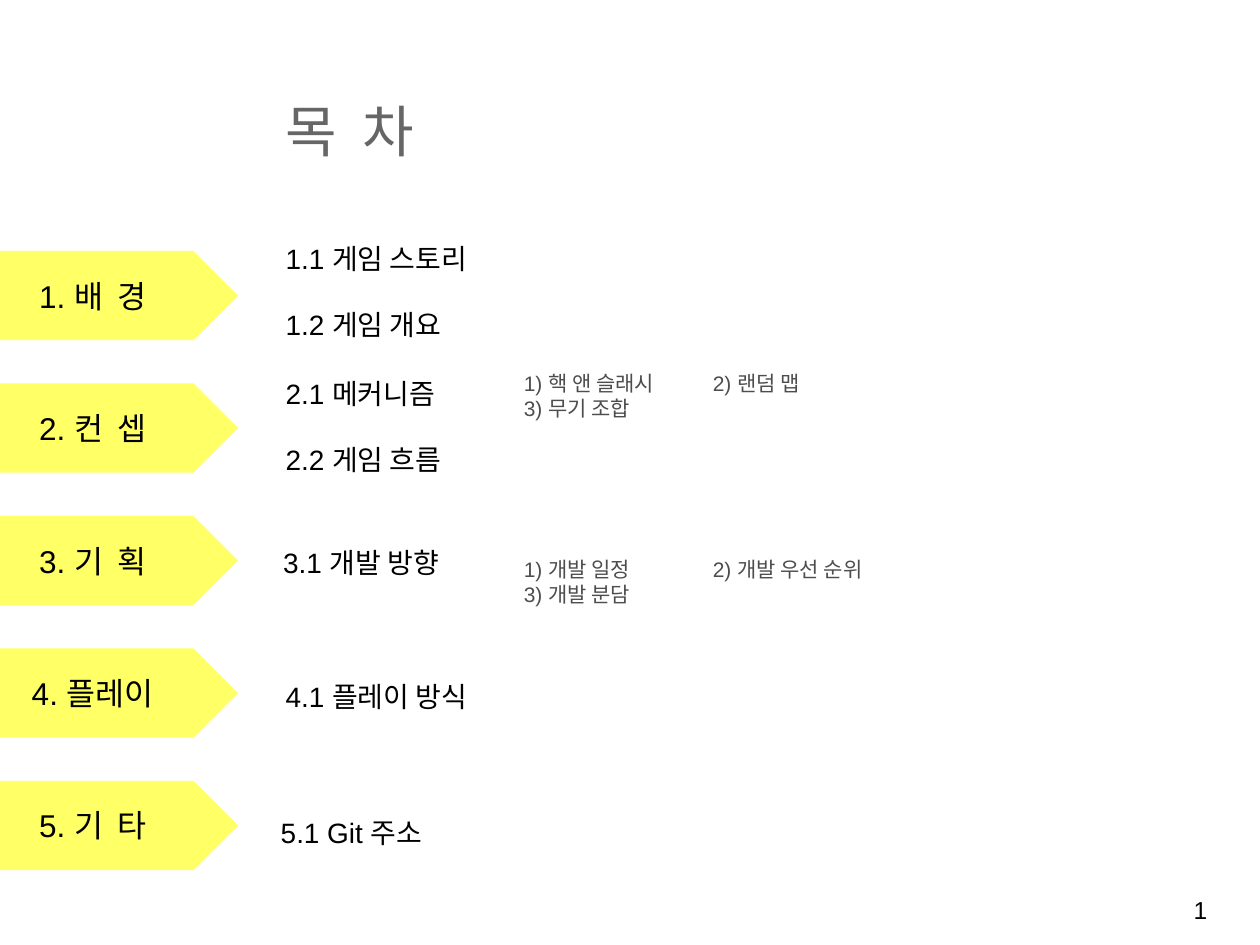
from pptx import Presentation
from pptx.dml.color import RGBColor
from pptx.enum.shapes import MSO_SHAPE
from pptx.enum.text import MSO_ANCHOR, MSO_AUTO_SIZE, PP_ALIGN
from pptx.util import Cm, Pt

ARROW = MSO_SHAPE.PENTAGON
TOP, MIDDLE = MSO_ANCHOR.TOP, MSO_ANCHOR.MIDDLE
LEFT, CENTER = PP_ALIGN.LEFT, PP_ALIGN.CENTER
FIXED = MSO_AUTO_SIZE.NONE
BLACK = RGBColor(0x00, 0x00, 0x00)
GRAY = RGBColor(0x66, 0x66, 0x66)
DARK = RGBColor(0x4D, 0x4D, 0x4D)
YELLOW = RGBColor(0xFF, 0xFF, 0x66)


def write(shape, *lines, size=16, color=BLACK, align=LEFT, anchor=MIDDLE, gap=0):
    frame = shape.text_frame
    frame.word_wrap = True
    frame.auto_size = FIXED
    frame.vertical_anchor = anchor
    for i, line in enumerate(lines):
        para = frame.add_paragraph() if i else frame.paragraphs[0]
        para.alignment = align
        para.space_before = Pt(gap if i else 0)
        run = para.add_run()
        run.text = line
        run.font.name = "Arial"
        run.font.size = Pt(size)
        run.font.color.rgb = color


deck = Presentation()
deck.slide_width, deck.slide_height = Cm(25.4), Cm(19.05)
slide = deck.slides.add_slide(deck.slide_layouts[5])
shapes = slide.shapes

title = shapes.title
title.left, title.top = Cm(5.51), Cm(1.32)
title.width, title.height = Cm(12.7), Cm(2.59)
write(title, "목  차", size=32, color=GRAY)

page = shapes.add_textbox(Cm(22.5), Cm(17.91), Cm(3.4), Cm(1.07))
write(page, "1", size=14, align=CENTER, anchor=TOP)

topics = [
    (5.51, 5, 1.75, ["1.1 게임 스토리", "1.2 게임 개요"]),
    (5.51, 7.72, 1.75, ["2.1 메커니즘", "2.2 게임 흐름"]),
    (5.46, 10.87, 0.94, ["3.1 개발 방향"]),
    (5.51, 12.7, 2.67, ["4.1 플레이 방식"]),
    (5.41, 15.37, 2.82, ["5.1 Git 주소"]),
]
for x, y, high, lines in topics:
    box = shapes.add_textbox(Cm(x), Cm(y), Cm(12.7), Cm(high))
    write(box, *lines, gap=18.5)

heads = ["1. 배  경", "2. 컨  셉", "3. 기  획", "4. 플레이", "5. 기  타"]
for i, head in enumerate(heads):
    arrow = shapes.add_shape(ARROW, Cm(-0.61), Cm(5.06 + 2.67 * i), Cm(5.41), Cm(1.8))
    arrow.shadow.inherit = False
    arrow.fill.solid()
    arrow.fill.fore_color.rgb = YELLOW
    arrow.line.fill.background()
    write(arrow, head, size=18, align=CENTER)

details = [
    (7.34, ["1) 핵 앤 슬래시\t2) 랜덤 맵", "3) 무기 조합"]),
    (11.1, ["1) 개발 일정\t\t2) 개발 우선 순위", "3) 개발 분담"]),
]
for y, lines in details:
    box = shapes.add_textbox(Cm(10.31), Cm(y), Cm(13.26), Cm(1.27))
    write(box, *lines, size=12, color=DARK, anchor=TOP)

deck.save("out.pptx")
